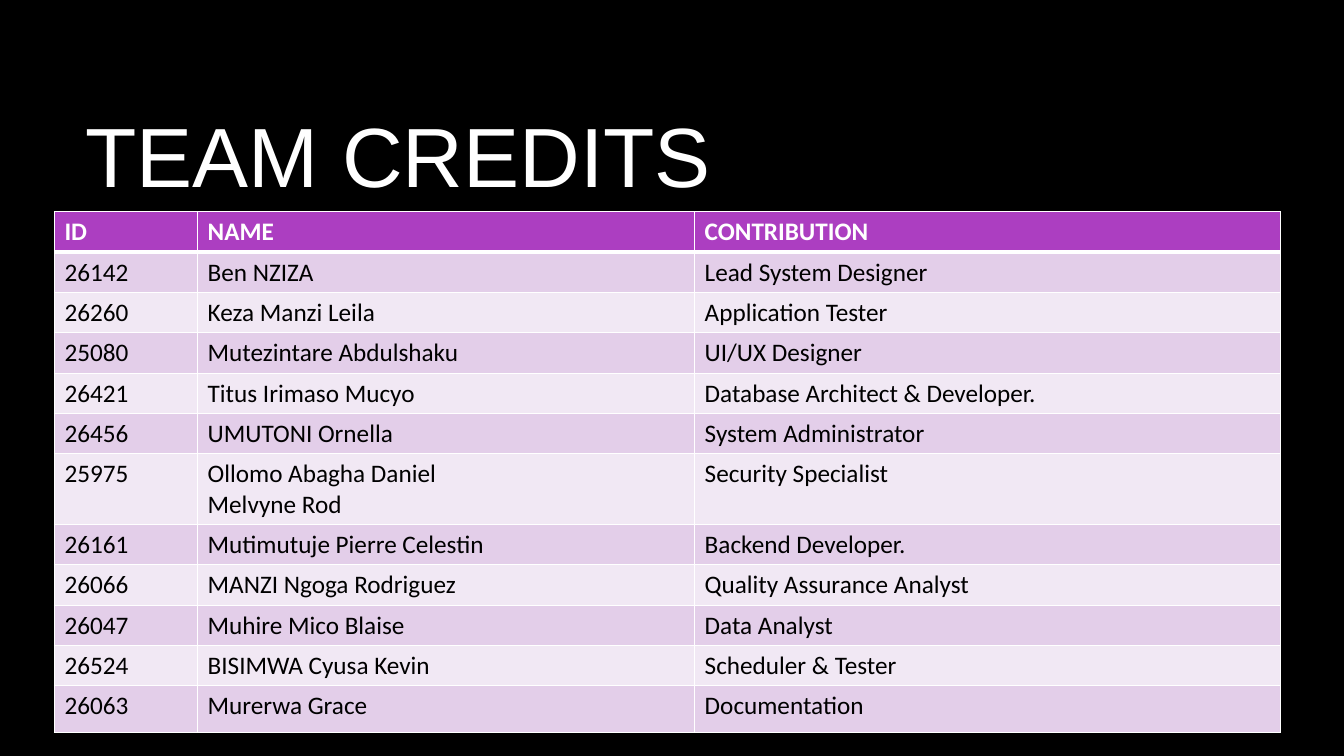
from typing import NamedTuple

from pptx import Presentation
from pptx import util as u
from pptx.dml.color import RGBColor
from pptx.enum import text
from pptx.oxml import parse_xml
from pptx.oxml.ns import nsdecls

BLACK = RGBColor(0x00, 0x00, 0x00)
WHITE = RGBColor(0xFF, 0xFF, 0xFF)
PURPLE = RGBColor(0xAC, 0x3E, 0xC1)
LILAC = RGBColor(0xE3, 0xCE, 0xE9)
PALE = RGBColor(0xF1, 0xE8, 0xF4)

WIDTHS = (1.42, 4.93, 5.81)
ROW, TALL, LAST = 0.4, 0.7, 0.46


class Member(NamedTuple):
    id: str
    name: str
    role: str


HEADER = Member("ID", "NAME", "CONTRIBUTION")
TEAM = [
    Member("26142", "Ben NZIZA", "Lead System Designer"),
    Member("26260", "Keza Manzi Leila", "Application Tester"),
    Member("25080", "Mutezintare Abdulshaku", "UI/UX Designer"),
    Member("26421", "Titus Irimaso Mucyo", "Database Architect & Developer."),
    Member("26456", "UMUTONI Ornella", "System Administrator"),
    Member("25975", "Ollomo Abagha Daniel\nMelvyne Rod", "Security Specialist"),
    Member("26161", "Mutimutuje Pierre Celestin", "Backend Developer."),
    Member("26066", "MANZI Ngoga Rodriguez", "Quality Assurance Analyst"),
    Member("26047", "Muhire Mico Blaise", "Data Analyst"),
    Member("26524", "BISIMWA Cyusa Kevin", "Scheduler & Tester"),
    Member("26063", "Murerwa Grace", "Documentation"),
]


def write(frame, words: str, *, size: int = 18, font: str = "Calibri",
          color: RGBColor = BLACK, bold: bool = False) -> None:
    """Fill a text frame, one paragraph per line."""
    frame.text = words
    for para in frame.paragraphs:
        for run in para.runs:
            run.font.size = u.Pt(size)
            run.font.name = font
            run.font.bold = bold
            run.font.color.rgb = color


def edge(cell, head: bool, below: bool) -> None:
    """Draw white borders, thick between the header and the body."""
    thick = {"lnT": below, "lnB": head}
    props = cell._tc.get_or_add_tcPr()
    for at, side in enumerate(("lnL", "lnR", "lnT", "lnB")):
        width = u.Pt(3 if thick.get(side) else 1)
        props.insert(at, parse_xml(
            f'<a:{side} {nsdecls("a")} w="{width}"><a:solidFill>'
            f'<a:srgbClr val="{WHITE}"/></a:solidFill></a:{side}>'))


def add_title(slide) -> None:
    box = slide.shapes.add_textbox(
        u.Inches(0.75), u.Inches(0.67), u.Inches(11.08), u.Inches(1.59))
    frame = box.text_frame
    frame.word_wrap = True
    frame.vertical_anchor = text.MSO_ANCHOR.MIDDLE
    # Lower the line slightly within its box
    frame.margin_top = u.Inches(0.18)
    write(frame, "TEAM CREDITS", size=60, font="Arial", color=WHITE)


def add_team(slide) -> None:
    rows = [HEADER, *TEAM]
    highs = [TALL if "\n" in row.name else ROW for row in rows]
    highs[-1] = LAST
    table = slide.shapes.add_table(
        len(rows), len(WIDTHS), u.Inches(0.54), u.Inches(2.1),
        u.Inches(sum(WIDTHS)), u.Inches(sum(highs))).table
    for col, width in zip(table.columns, WIDTHS):
        col.width = u.Inches(width)
    for i, (row, high) in enumerate(zip(rows, highs)):
        table.rows[i].height = u.Inches(high)
        head = i == 0
        fill = PURPLE if head else LILAC if i % 2 else PALE
        for j, words in enumerate(row):
            cell = table.cell(i, j)
            cell.fill.solid()
            cell.fill.fore_color.rgb = fill
            edge(cell, head, i == 1)
            write(cell.text_frame, words,
                  color=WHITE if head else BLACK, bold=head)


def main() -> None:
    deck = Presentation()
    deck.slide_width, deck.slide_height = u.Inches(13.33), u.Inches(7.5)
    slide = deck.slides.add_slide(deck.slide_layouts[6])
    slide.background.fill.solid()
    slide.background.fill.fore_color.rgb = BLACK
    add_title(slide)
    add_team(slide)
    deck.save("out.pptx")


if __name__ == "__main__":
    main()
